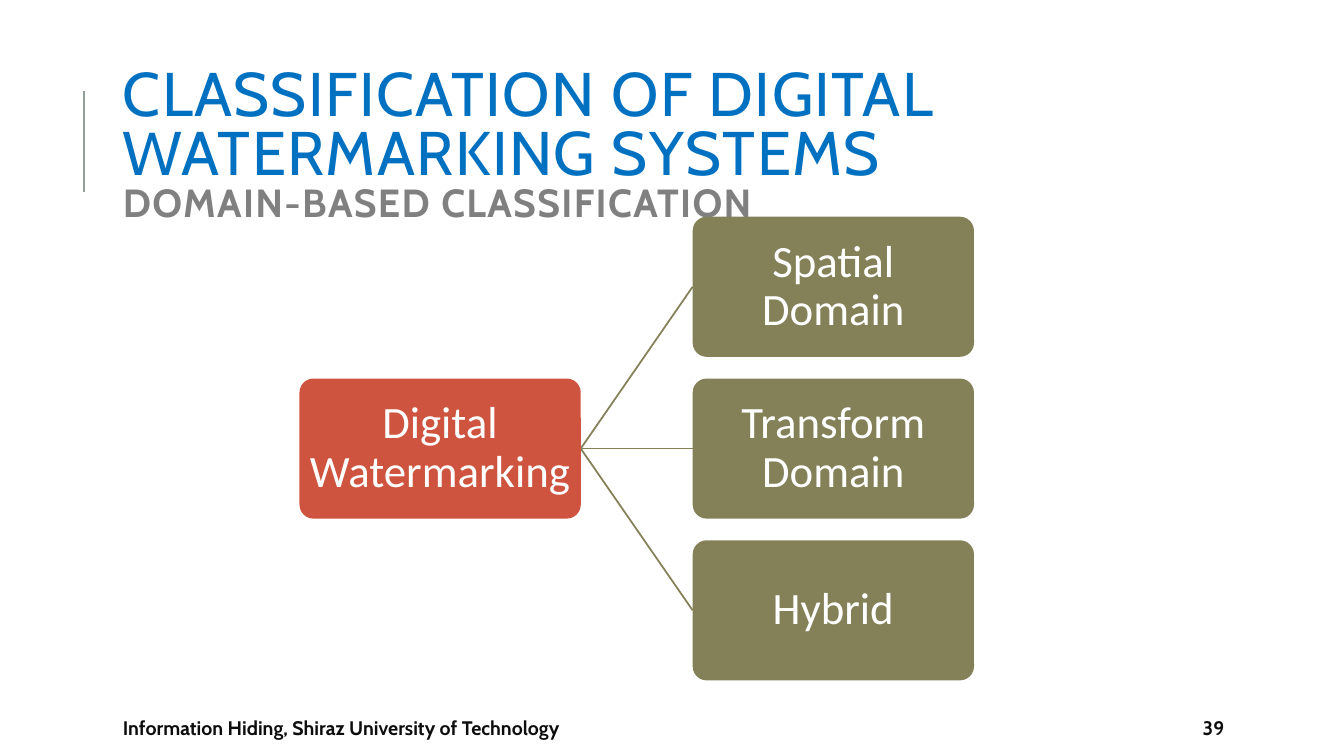
"""Build the slide on domain-based classes of digital watermarking."""
from lxml.etree import SubElement
from pptx import Presentation
from pptx.dml.color import RGBColor
from pptx.enum.shapes import MSO_CONNECTOR, MSO_SHAPE
from pptx.enum.text import MSO_ANCHOR, PP_ALIGN
from pptx.oxml.ns import qn
from pptx.util import Inches, Pt

HUES = {"blue": "0070C0", "gray": "808080", "sage": "93A299", "red": "CF543F",
        "olive": "848058", "white": "FFFFFF", "ink": "0D0D0D"}
WIDE, HIGH = 2.79, 1.39
LEFT, RIGHT = 2.97, 6.87
TOP, STEP = 2.15, 1.605


def write(shape, text, font="Cabin", size=14, hue="ink", bold=False,
          align=PP_ALIGN.LEFT, lead=1.0, inset=0.1, track=0):
    frame = shape.text_frame
    frame.word_wrap = True
    frame.vertical_anchor = MSO_ANCHOR.MIDDLE
    frame.margin_left = frame.margin_right = Inches(inset)
    frame.margin_top = frame.margin_bottom = Inches(min(inset, 0.05))
    line = frame.paragraphs[0]
    line.alignment, line.line_spacing = align, lead
    run = line.add_run()
    run.text = text
    run.font.name, run.font.size, run.font.bold = font, Pt(size), bold
    run.font.color.rgb = RGBColor.from_string(HUES[hue])
    if track:
        run.font._element.set("spc", str(track))


def link(start, end, hue, width):
    x1, y1, x2, y2 = map(Inches, (*start, *end))
    line = slide.shapes.add_connector(MSO_CONNECTOR.STRAIGHT, x1, y1, x2, y2)
    line.line.color.rgb = RGBColor.from_string(HUES[hue])
    line.line.width = Pt(width)
    SubElement(line._element.spPr, qn("a:effectLst"))


deck = Presentation()
deck.slide_width, deck.slide_height = Inches(13.33), Inches(7.5)
slide = deck.slides.add_slide(deck.slide_layouts[6])

link((0.83, 1.9), (0.83, 0.9), "sage", 1.5)

title = slide.shapes.add_textbox(Inches(1.12), Inches(0.64), Inches(11.23), Inches(1.64))
write(title, "CLASSIFICATION OF DIGITAL WATERMARKING SYSTEMS",
      size=44, hue="blue", lead=0.8, track=100)
title.text_frame.paragraphs[0].add_line_break()
write(title, "DOMAIN-BASED CLASSIFICATION",
      size=28, hue="gray", bold=True, lead=0.8, track=100)

nodes = [("Digital Watermarking", LEFT, TOP + STEP, "red")]
for row, name in enumerate(["Spatial Domain", "Transform Domain", "Hybrid"]):
    top = TOP + row * STEP
    nodes.append((name, RIGHT, top, "olive"))
    link((LEFT + WIDE, TOP + STEP + HIGH / 2), (RIGHT, top + HIGH / 2), "olive", 1.25)

for name, left, top, hue in nodes:
    node = slide.shapes.add_shape(MSO_SHAPE.ROUNDED_RECTANGLE, Inches(left), Inches(top),
                                  Inches(WIDE), Inches(HIGH))
    node.adjustments[0] = 0.1
    node.shadow.inherit = False
    node.fill.solid()
    node.fill.fore_color.rgb = RGBColor.from_string(HUES[hue])
    node.line.fill.background()
    write(node, name, font="Calibri", size=32, hue="white",
          align=PP_ALIGN.CENTER, lead=0.9, inset=0.06)

for text, left, width in [("Information Hiding, Shiraz University of Technology", 1.12, 10.71),
                          ("39", 11.83, 0.52)]:
    foot = slide.shapes.add_textbox(Inches(left), Inches(7.07), Inches(width), Inches(0.3))
    write(foot, text, bold=True)

deck.save("out.pptx")
